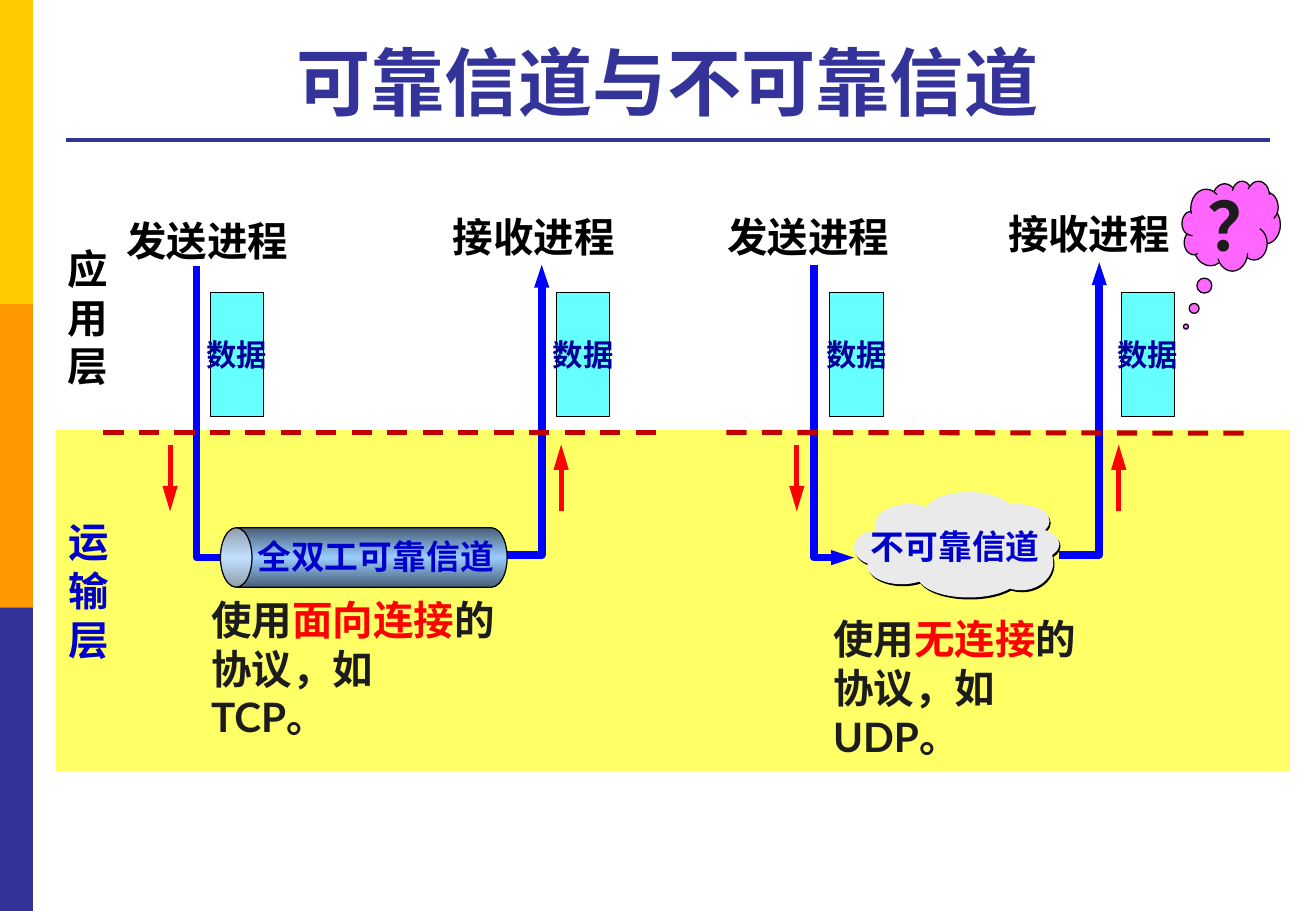
from copy import deepcopy
from dataclasses import dataclass

from lxml import etree
from pptx import Presentation
from pptx.dml.color import RGBColor
from pptx.enum.dml import MSO_LINE
from pptx.enum.shapes import MSO_CONNECTOR, MSO_SHAPE
from pptx.enum.text import MSO_ANCHOR, PP_ALIGN
from pptx.oxml.ns import qn
from pptx.util import Pt

RECT, OVAL = MSO_SHAPE.RECTANGLE, MSO_SHAPE.OVAL
CAN, CALLOUT = MSO_SHAPE.CAN, MSO_SHAPE.CLOUD_CALLOUT
STRAIGHT, DASH = MSO_CONNECTOR.STRAIGHT, MSO_LINE.DASH
CENTER, LEFT = PP_ALIGN.CENTER, PP_ALIGN.LEFT
TOP, MIDDLE, BOTTOM = MSO_ANCHOR.TOP, MSO_ANCHOR.MIDDLE, MSO_ANCHOR.BOTTOM

BLACK = RGBColor(0x00, 0x00, 0x00)
INK = RGBColor(0x1C, 0x1C, 0x1C)
GOLD = RGBColor(0xFF, 0xCC, 0x00)
ORANGE = RGBColor(0xFF, 0x99, 0x00)
INDIGO = RGBColor(0x33, 0x33, 0x99)
YELLOW = RGBColor(0xFF, 0xFF, 0x66)
PINK = RGBColor(0xFF, 0x66, 0xFF)
CYAN = RGBColor(0x66, 0xFF, 0xFF)
NAVY = RGBColor(0x00, 0x00, 0x99)
LABEL_BLUE = RGBColor(0x00, 0x00, 0xCC)
FLOW_BLUE = RGBColor(0x00, 0x00, 0xFF)
RED = RGBColor(0xFF, 0x00, 0x00)
DARK_RED = RGBColor(0xC0, 0x00, 0x00)
STEEL = RGBColor(0x47, 0x5E, 0x76)
SKY = RGBColor(0x99, 0xCC, 0xFF)
CLOUD_GREY = RGBColor(0xEA, 0xEA, 0xEA)


@dataclass
class Box:
    x: float
    y: float
    w: float
    h: float


@dataclass
class Label:
    box: Box
    text: str
    size: float = 24
    color: RGBColor = BLACK
    font: str = "Lato"
    align: PP_ALIGN = LEFT
    anchor: MSO_ANCHOR = TOP


@dataclass
class Line:
    x1: float
    y1: float
    x2: float
    y2: float
    color: RGBColor
    width: float = 3
    dashed: bool = False
    arrow: bool = False


@dataclass
class Elbow:
    points: list[tuple[float, float]]
    arrow_end: str


@dataclass
class Protocol:
    box: Box
    kind: str
    name: str


def format_run(r, size: float, color: RGBColor, font: str) -> None:
    r.font.size, r.font.bold, r.font.name = Pt(size), True, font
    r.font.color.rgb = color
    etree.SubElement(r.font._element, qn("a:ea"), typeface=font)


def add_arrowhead(s, end: str, width: str, length: str) -> None:
    ln = s._element.spPr.find(qn("a:ln"))
    etree.SubElement(ln, qn(f"a:{end}"), type="triangle", w=width, len=length)


def draw_shape(shapes, kind: MSO_SHAPE, box: Box, fill: RGBColor, outlined: bool = False):
    s = shapes.add_shape(kind, Pt(box.x), Pt(box.y), Pt(box.w), Pt(box.h))
    s.shadow.inherit = False
    s.fill.solid()
    s.fill.fore_color.rgb = fill
    if outlined:
        s.line.color.rgb, s.line.width = BLACK, Pt(0.75)
    else:
        s.line.fill.background()
    return s


def add_text_box(shapes, box: Box):
    tf = shapes.add_textbox(Pt(box.x), Pt(box.y), Pt(box.w), Pt(box.h)).text_frame
    tf.word_wrap = True
    return tf


def draw_label(shapes, label: Label) -> None:
    tf = add_text_box(shapes, label.box)
    tf.vertical_anchor = label.anchor
    tf.text = label.text
    for p in tf.paragraphs:
        p.alignment = label.align
        for r in p.runs:
            format_run(r, label.size, label.color, label.font)


def draw_line(shapes, line: Line) -> None:
    s = shapes.add_connector(STRAIGHT, Pt(line.x1), Pt(line.y1), Pt(line.x2), Pt(line.y2))
    s.line.color.rgb, s.line.width = line.color, Pt(line.width)
    if line.dashed:
        s.line.dash_style = DASH
    if line.arrow:
        add_arrowhead(s, "tailEnd", "med", "lg")
    etree.SubElement(s._element.spPr, qn("a:effectLst"))


def draw_elbow(shapes, elbow: Elbow) -> None:
    start, *rest = [(Pt(x), Pt(y)) for x, y in elbow.points]
    builder = shapes.build_freeform(*start)
    builder.add_line_segments(rest, close=False)
    s = builder.convert_to_shape()
    s.shadow.inherit = False
    s.fill.background()
    s.line.color.rgb, s.line.width = FLOW_BLUE, Pt(4.5)
    add_arrowhead(s, elbow.arrow_end, "sm", "med")


def draw_cylinder(shapes, box: Box) -> None:
    s = draw_shape(shapes, CAN, box, SKY, outlined=True)
    s.rotation = 270
    s.adjustments[0] = 0.53
    s.fill.gradient()
    s.fill.gradient_angle = 0
    stops = s._element.spPr.find(qn("a:gradFill")).find(qn("a:gsLst"))
    stops.insert(1, deepcopy(stops[0]))
    for stop, position, color in zip(s.fill.gradient_stops, (0, 0.5, 1), (STEEL, SKY, STEEL)):
        stop.position, stop.color.rgb = position, color


def draw_data(shapes, x: float) -> None:
    s = draw_shape(shapes, RECT, Box(x, 173.5, 31.7, 73.5), CYAN, outlined=True)
    tf = s.text_frame
    tf.word_wrap = False
    tf.vertical_anchor = MIDDLE
    tf.text = "数据"
    p = tf.paragraphs[0]
    p.alignment = CENTER
    format_run(p.runs[0], 18, NAVY, "Arial")


def draw_protocol(shapes, protocol: Protocol) -> None:
    tf = add_text_box(shapes, protocol.box)
    for text, color in (("使用", INK), (protocol.kind, RED), ("的", INK)):
        r = tf.paragraphs[0].add_run()
        r.text = text
        format_run(r, 24, color, "Lato")
    p = tf.add_paragraph()
    p.text = f"协议，如\v{protocol.name}。"
    for r in p.runs:
        format_run(r, 24, INK, "Lato")


BANDS = [GOLD, ORANGE, INDIGO]
LINES = [
    Line(38.9, 82.8, 753, 82.8, INDIGO, 2.25),
    Line(61.2, 256.3, 391, 256.3, DARK_RED, dashed=True),
    Line(430.6, 256.3, 743, 256.8, DARK_RED, dashed=True),
    Line(100.8, 263.5, 100.8, 303.1, RED, arrow=True),
    Line(332.6, 303.1, 332.6, 263.5, RED, arrow=True),
    Line(472.3, 263.5, 472.3, 303.1, RED, arrow=True),
    Line(663.1, 303.1, 663.1, 263.5, RED, arrow=True),
]
ELBOWS = [
    Elbow([(116.6, 157.7), (116.6, 330.5), (145.4, 330.5)], "tailEnd"),
    Elbow([(321.1, 157), (321.1, 329), (292.3, 329)], "headEnd"),
    Elbow([(482.4, 157), (482.4, 330.5), (506.2, 330.5)], "tailEnd"),
    Elbow([(651.6, 155.5), (651.6, 329), (627.8, 329)], "headEnd"),
]
PUFFS = [
    Box(547.9, 291.6, 52.6, 25.2), Box(518.4, 298.8, 40.3, 25.9),
    Box(506.2, 314.6, 26.6, 20.2), Box(514.1, 324, 41, 22.3),
    Box(543.6, 327.6, 61.2, 26.6), Box(583.9, 298.8, 38.2, 20.2),
    Box(589.7, 312.5, 38.2, 20.2), Box(586.1, 316.8, 38.2, 33.1),
    Box(528.5, 306.7, 79.2, 33.1),
]
DATA_X = [124.6, 329.8, 491.8, 664.6]
LABELS = [
    Label(Box(38.9, 15.1, 713.5, 62.6), "可靠信道与不可靠信道", 44, INDIGO, "Arial", CENTER, BOTTOM),
    Label(Box(708.5, 105.8, 31, 55.4), "？", 40, INK),
    Label(Box(33.1, 141.1, 38.9, 94.3), "应\n用\n层"),
    Label(Box(33.8, 303.1, 38.9, 94.3), "运\n输\n层", color=LABEL_BLUE),
    Label(Box(67.7, 124.6, 117, 36), "发送进程"),
    Label(Box(261.4, 122.4, 117, 36), "接收进程"),
    Label(Box(424.1, 122.4, 117, 36), "发送进程"),
    Label(Box(590.4, 120.2, 117, 36), "接收进程"),
    Label(Box(145.4, 313.9, 156, 31), "全双工可靠信道", 20, LABEL_BLUE),
    Label(Box(509, 308.2, 116, 31.7), "不可靠信道", 20, LABEL_BLUE),
]
PROTOCOLS = [
    Protocol(Box(118.1, 349.2, 196, 94), "面向连接", "TCP"),
    Protocol(Box(486.7, 360.7, 196, 94), "无连接", "UDP"),
]


def main() -> None:
    prs = Presentation()
    prs.slide_width, prs.slide_height = Pt(780), Pt(540)
    shapes = prs.slides.add_slide(prs.slide_layouts[6]).shapes

    # Side bands and transport layer area
    for i, color in enumerate(BANDS):
        draw_shape(shapes, RECT, Box(0, i * 180, 19.5, 180), color)
    draw_shape(shapes, RECT, Box(33.1, 254.9, 731.5, 202.3), YELLOW)

    # Question bubble
    bubble = draw_shape(shapes, CALLOUT, Box(700.6, 107.3, 58.3, 53.3), PINK, outlined=True)
    bubble.adjustments[0], bubble.adjustments[1] = -0.46, 1.12

    # Flows, rules and arrows
    for elbow in ELBOWS:
        draw_elbow(shapes, elbow)
    for line in LINES:
        draw_line(shapes, line)

    # Reliable channel
    draw_cylinder(shapes, Box(198, 245.5, 35.3, 169.9))

    # Unreliable channel: shadow first, cloud on top
    for dx, dy, color in ((0.72, 1.2, BLACK), (0, 0, CLOUD_GREY)):
        for puff in PUFFS:
            draw_shape(shapes, OVAL, Box(puff.x + dx, puff.y + dy, puff.w, puff.h), color)

    # Data blocks and text
    for x in DATA_X:
        draw_data(shapes, x)
    for label in LABELS:
        draw_label(shapes, label)
    for protocol in PROTOCOLS:
        draw_protocol(shapes, protocol)

    prs.save("out.pptx")


if __name__ == "__main__":
    main()
